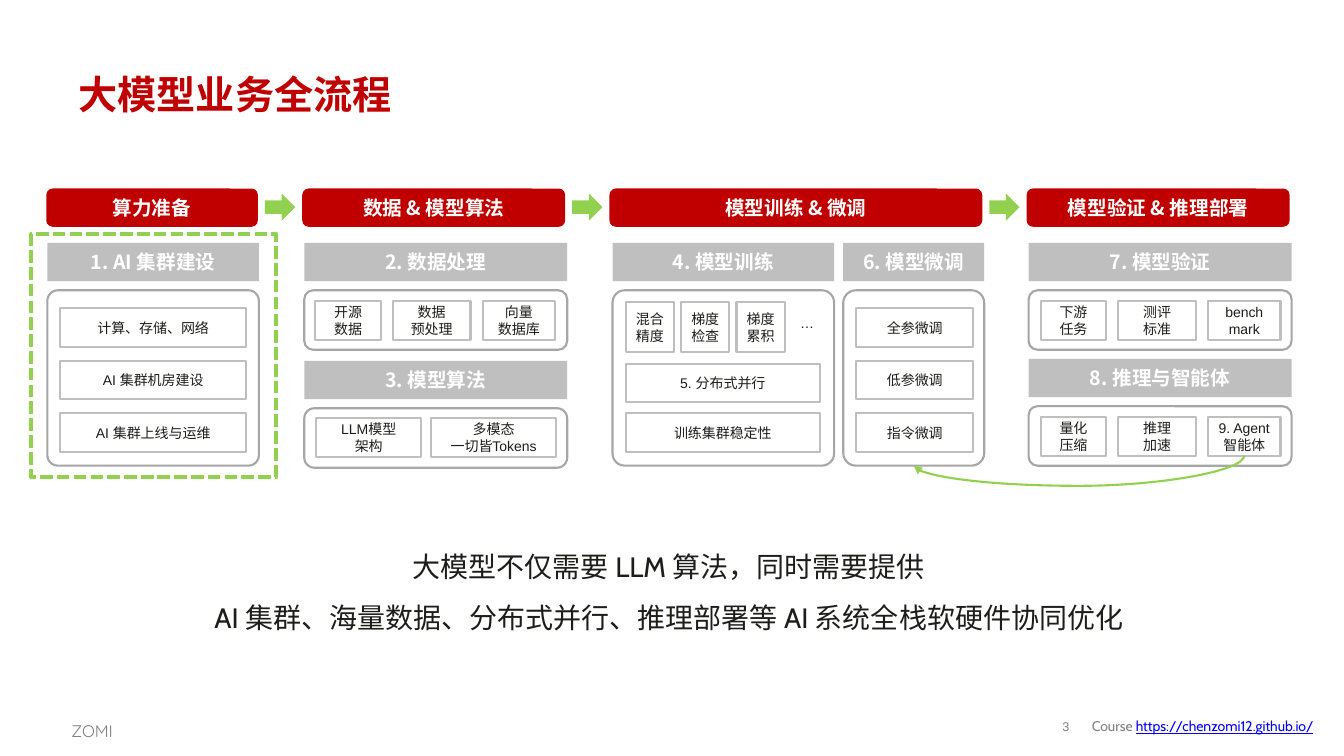
from pptx import Presentation
from pptx.dml.color import RGBColor
from pptx.enum.dml import MSO_LINE
from pptx.enum.shapes import MSO_CONNECTOR, MSO_SHAPE
from pptx.enum.text import MSO_ANCHOR, MSO_AUTO_SIZE, PP_ALIGN
from pptx.oxml.ns import qn
from pptx.util import Inches, Pt
from lxml.etree import SubElement

RED, GREEN, SILVER, GRAY = "C00000", "92D050", "BFBFBF", "A6A6A6"
WHITE, INK, MUTED, LINK = "FFFFFF", "1D1D1A", "808080", "0000FF"
CJK = "Noto Sans CJK SC"


def color(value):
    return RGBColor.from_string(value)


class SlideBuilder:
    def __init__(self, page):
        self.page = page

    def span(self, para, text, size, font, tint, bold=False, underline=False):
        span = para.add_run()
        span.text = text
        span.font.size = Pt(size)
        span.font.bold = bold
        if underline:
            span.font.underline = True
        span.font.color.rgb = color(tint)
        span.font.name = font
        SubElement(span.font._element, qn("a:ea")).set("typeface", CJK)

    def fill_text(self, shape, lines, size, font, tint, bold=False, align=PP_ALIGN.CENTER,
                  anchor=MSO_ANCHOR.MIDDLE, spacing=None, inset=0.1):
        frame = shape.text_frame
        frame.word_wrap = True
        frame.auto_size = MSO_AUTO_SIZE.NONE
        frame.vertical_anchor = anchor
        frame.margin_left = frame.margin_right = Inches(inset)
        frame.margin_top = frame.margin_bottom = Inches(min(inset, 0.05))
        for index, line in enumerate(lines):
            para = frame.add_paragraph() if index else frame.paragraphs[0]
            para.alignment = align
            if spacing:
                para.line_spacing = spacing
            self.span(para, line, size, font, tint, bold)

    def title(self, text, left, top, width, height):
        box = self.page.shapes.title
        box.left, box.top = Inches(left), Inches(top)
        box.width, box.height = Inches(width), Inches(height)
        self.fill_text(box, [text], 28, "Quicksand", RED, True, PP_ALIGN.LEFT)

    def text(self, lines, left, top, width, height, size, font, tint, **options):
        box = self.page.shapes.add_textbox(Inches(left), Inches(top), Inches(width), Inches(height))
        self.fill_text(box, lines, size, font, tint, **options)
        return box

    def shape(self, kind, left, top, width, height, fill=None, line=None, weight=1.5, corner=None):
        shape = self.page.shapes.add_shape(kind, Inches(left), Inches(top), Inches(width), Inches(height))
        shape.shadow.inherit = False
        if corner is not None:
            shape.adjustments[0] = corner
        if fill:
            shape.fill.solid()
            shape.fill.fore_color.rgb = color(fill)
        else:
            shape.fill.background()
        if line:
            shape.line.color.rgb = color(line)
            shape.line.width = Pt(weight)
        else:
            shape.line.fill.background()
        return shape

    def stage(self, text, left, width):
        bar = self.shape(MSO_SHAPE.ROUNDED_RECTANGLE, left, 1.87, width, 0.38, fill=RED)
        self.fill_text(bar, [text], 14, CJK, WHITE, True)

    def section(self, text, left, top, width, panel_height, corner):
        bar = self.shape(MSO_SHAPE.RECTANGLE, left, top, width, 0.38, fill=SILVER)
        self.fill_text(bar, [text], 14, CJK, WHITE, True)
        self.shape(MSO_SHAPE.ROUNDED_RECTANGLE, left, top + 0.47, width, panel_height,
                   line=GRAY, corner=corner)

    def tile(self, text, left, top, width, height=0.38):
        tile = self.shape(MSO_SHAPE.ROUNDED_RECTANGLE, left, top, width, height, line=SILVER, corner=0)
        self.fill_text(tile, text.split("\n"), 10, "Arial", INK, inset=0.05)

    def feedback_curve(self, left, top, width, height, bend):
        curve = self.page.shapes.add_connector(
            MSO_CONNECTOR.CURVE, Inches(left), Inches(top), Inches(left + width), Inches(top + height))
        curve.line.color.rgb = color(GREEN)
        curve.line.width = Pt(1.5)
        properties = curve._element.spPr
        properties.find(qn("a:xfrm")).set("rot", str(90 * 60000))
        guide = SubElement(properties.find(qn("a:prstGeom")).find(qn("a:avLst")), qn("a:gd"))
        guide.set("name", "adj1")
        guide.set("fmla", f"val {round(bend * 100000)}")
        SubElement(properties.find(qn("a:ln")), qn("a:tailEnd")).set("type", "triangle")
        SubElement(properties, qn("a:effectLst"))


STAGES = [
    ("算力准备", 0.46, 2.1),
    ("数据 & 模型算法", 3, 2.61),
    ("模型训练 & 微调", 6.05, 3.7),
    ("模型验证 & 推理部署", 10.19, 2.61),
]
SECTIONS = [
    ("1. AI 集群建设", 0.47, 2.41, 2.1, 1.74, 0.06),
    ("2. 数据处理", 3.02, 2.41, 2.61, 0.59, 0.15),
    ("3. 模型算法", 3.02, 3.58, 2.61, 0.59, 0.17),
    ("4. 模型训练", 6.08, 2.41, 2.2, 1.74, 0.07),
    ("6. 模型微调", 8.37, 2.41, 1.4, 1.74, 0.09),
    ("7. 模型验证", 10.21, 2.41, 2.61, 0.59, 0.15),
    ("8. 推理与智能体", 10.21, 3.56, 2.61, 0.59, 0.15),
]
STACKS = [
    (0.6, 1.84, ["计算、存储、网络", "AI 集群机房建设", "AI 集群上线与运维"]),
    (8.5, 1.16, ["全参微调", "低参微调", "指令微调"]),
]
TRIPLES = [
    (3.13, 2.99, ["开源\n数据", "数据\n预处理", "向量\n数据库"]),
    (10.33, 2.99, ["下游\n任务", "测评\n标准", "bench\nmark"]),
    (10.33, 4.14, ["量化\n压缩", "推理\n加速", "9. Agent\n智能体"]),
]
TRIPLE_COLUMNS = [(0, 0.65), (0.77, 0.77), (1.66, 0.72)]
WIDE_TILES = [
    ("LLM模型\n架构", 3.14, 4.15, 1.04),
    ("多模态\n一切皆Tokens", 4.28, 4.15, 1.24),
    ("5. 分布式并行", 6.21, 3.61, 1.93),
    ("训练集群稳定性", 6.21, 4.1, 1.93),
]


def main():
    deck = Presentation()
    deck.slide_width, deck.slide_height = Inches(13.34), Inches(7.5)
    page = deck.slides.add_slide(deck.slide_layouts[5])
    builder = SlideBuilder(page)

    builder.title("大模型业务全流程", 0.68, 0.61, 11.99, 0.64)
    for stage in STAGES:
        builder.stage(*stage)
    for left in (2.63, 5.68, 9.82):
        builder.shape(MSO_SHAPE.RIGHT_ARROW, left, 1.92, 0.3, 0.27, fill=GREEN)
    for section in SECTIONS:
        builder.section(*section)

    for left, width, labels in STACKS:
        for row, label in enumerate(labels):
            builder.tile(label, left, 3.06 + 0.52 * row, width)
    for left, top, labels in TRIPLES:
        for label, (offset, width) in zip(labels, TRIPLE_COLUMNS):
            builder.tile(label, left + offset, top, width)
    for column, label in enumerate(["混合精度", "梯度检查", "梯度累积"]):
        builder.tile(label, 6.21 + 0.55 * column, 3, 0.48, 0.49)
    for tile in WIDE_TILES:
        builder.tile(*tile)
    builder.text(["…"], 7.84, 3.07, 0.34, 0.27, 10, "Arial", INK, anchor=MSO_ANCHOR.TOP)

    builder.feedback_curve(10.66, 2.93, 0.1, 3.28, 3)
    builder.text(["大模型不仅需要 LLM 算法，同时需要提供",
                  "AI 集群、海量数据、分布式并行、推理部署等 AI 系统全栈软硬件协同优化"],
                 0.46, 5.24, 12.36, 1.05, 20, "Cabin", INK, anchor=MSO_ANCHOR.TOP, spacing=1.5)
    focus = builder.shape(MSO_SHAPE.RECTANGLE, 0.31, 2.32, 2.43, 2.41, line=GREEN, weight=3)
    focus.line.dash_style = MSO_LINE.SQUARE_DOT

    builder.text(["ZOMI"], 0.61, 7.06, 0.8, 0.32, 12, "Quicksand", MUTED,
                 align=PP_ALIGN.LEFT, anchor=MSO_ANCHOR.TOP, spacing=1.2)
    builder.text(["3"], 10.4, 7.06, 0.36, 0.31, 9, "Arial", MUTED, spacing=0.85, inset=0)
    course = builder.text(["Course "], 10.74, 7.06, 2.46, 0.29, 10, "Cabin", MUTED, align=PP_ALIGN.LEFT)
    builder.span(course.text_frame.paragraphs[0], "https://chenzomi12.github.io/",
                 10, "Cabin", LINK, underline=True)
    deck.save("out.pptx")


if __name__ == "__main__":
    main()
